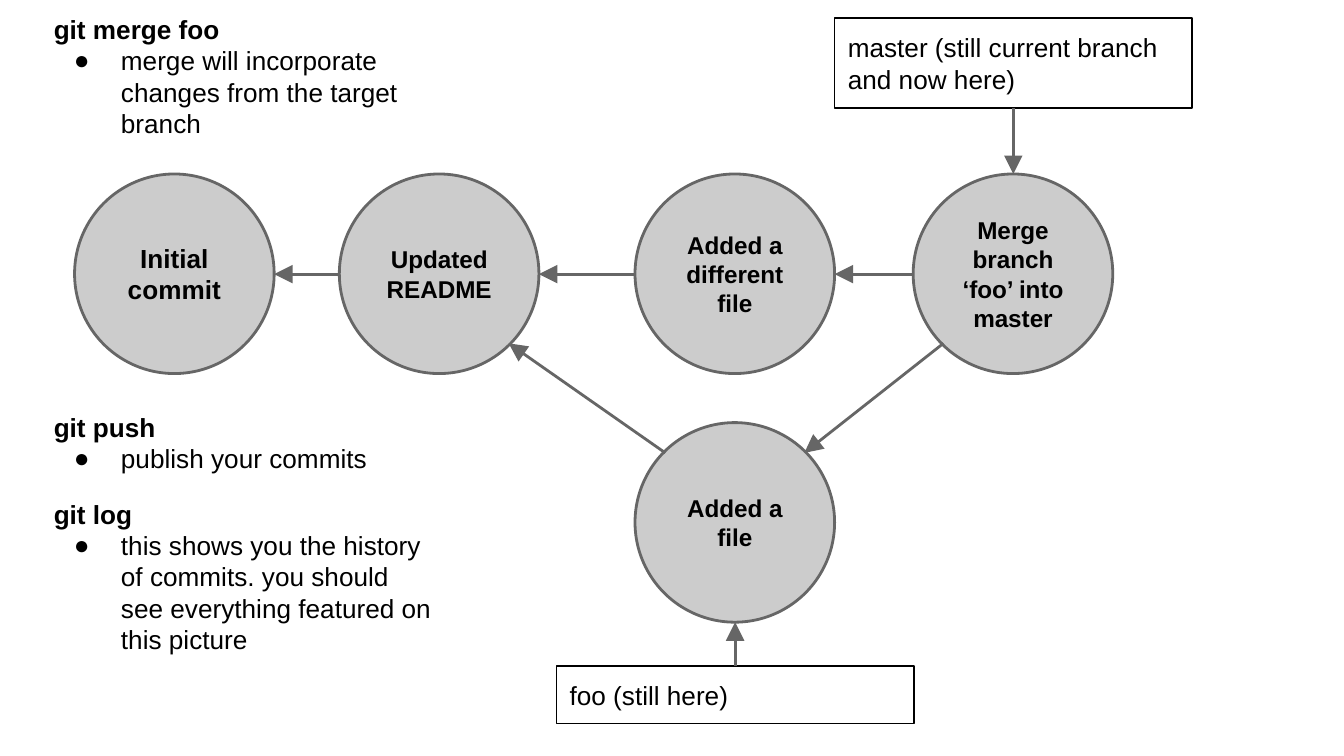
"""Build a slide that explains git merge, push and log with a commit graph."""
from dataclasses import dataclass

from lxml.etree import SubElement
from pptx import Presentation
from pptx.dml.color import RGBColor
from pptx.enum.shapes import MSO_CONNECTOR as Connector, MSO_SHAPE as Preset
from pptx.enum.text import MSO_ANCHOR as Anchor, MSO_AUTO_SIZE as AutoSize, PP_ALIGN as Align
from pptx.oxml.ns import qn
from pptx.util import Emu, Pt

PX = 4572
PAGE_WIDTH, PAGE_HEIGHT = 2000, 1125
COMPARISON_LAYOUT = 4


@dataclass(frozen=True)
class Theme:
    font: str = "Arial"
    ink: str = "000000"
    edge: str = "666666"
    commit_fill: str = "CCCCCC"
    text_size: int = 14
    commit_size: int = 13
    thin: float = 0.75
    thick: float = 1.5
    inset: int = 20
    hanging: int = 70
    indent: int = 100


THEME = Theme()


@dataclass(frozen=True)
class Box:
    left: int
    top: int
    width: int
    height: int

    def emu(self) -> tuple:
        return tuple(px(v) for v in (self.left, self.top, self.width, self.height))

    def point(self, across: float, down: float) -> tuple:
        return round(self.left + across * self.width), round(self.top + down * self.height)


@dataclass(frozen=True)
class Node:
    text: str
    box: Box
    size: int = THEME.commit_size


@dataclass(frozen=True)
class Note:
    heading: str
    detail: str
    box: Box


DIAMETER = 297
LABEL_WIDTH = 532
MAIN_ROW, FOO_ROW = 259, 629
LEFT, RIGHT = (0, 0.5), (1, 0.5)
TOP, BOTTOM = (0.5, 0), (0.5, 1)
NEAR, FAR = 0.15, 0.85


def commit(text: str, left: int, top: int = MAIN_ROW, **options) -> Node:
    return Node(text, Box(left, top, DIAMETER, DIAMETER), **options)


def branch(text: str, left: int, top: int, height: int) -> Node:
    return Node(text, Box(left, top, LABEL_WIDTH, height), THEME.text_size)


def note(heading: str, detail: str, top: int, height: int = 326) -> Note:
    return Note(heading, detail, Box(60, top, 610, height))


INITIAL = commit("Initial commit", 111, size=THEME.text_size)
README = commit("Updated README", 505)
DIFFERENT = commit("Added a different file", 945)
MERGE = commit("Merge branch ‘foo’ into master", 1359)
ADDED = commit("Added a file", 945, FOO_ROW)
COMMITS = (INITIAL, README, DIFFERENT, MERGE, ADDED)

MASTER = branch("master (still current branch and now here)", 1242, 27, 134)
FOO = branch("foo (still here)", 828, 991, 86)
BRANCHES = (MASTER, FOO)

ARROWS = (
    (README, LEFT, INITIAL, RIGHT),
    (DIFFERENT, LEFT, README, RIGHT),
    (MERGE, LEFT, DIFFERENT, RIGHT),
    (MERGE, (NEAR, FAR), ADDED, (FAR, NEAR)),
    (ADDED, (NEAR, NEAR), README, (FAR, FAR)),
    (MASTER, BOTTOM, MERGE, TOP),
    (FOO, TOP, ADDED, BOTTOM),
)

NOTES = (
    note("git merge foo", "merge will incorporate changes from the target branch", 0),
    note("git push", "publish your commits", 592, 146),
    note("git log",
         "this shows you the history of commits. you should see everything featured on this picture",
         721),
)


def px(value: int) -> Emu:
    return Emu(value * PX)


def colour(code: str) -> RGBColor:
    return RGBColor.from_string(code)


def set_frame(frame, anchor: Anchor) -> None:
    frame.word_wrap = True
    frame.auto_size = AutoSize.NONE
    frame.vertical_anchor = anchor
    frame.margin_left = frame.margin_right = px(THEME.inset)
    frame.margin_top = frame.margin_bottom = px(THEME.inset)


def write(para, text: str, *, size: int = THEME.text_size, bold: bool = False,
          align: Align = Align.LEFT) -> None:
    para.alignment = align
    para.line_spacing = 1.0
    para.space_before = para.space_after = Pt(0)
    span = para.add_run()
    span.text = text
    span.font.name = THEME.font
    span.font.size = Pt(size)
    span.font.bold = bold
    span.font.color.rgb = colour(THEME.ink)


def set_bullet(para, shown: bool) -> None:
    properties = para._p.get_or_add_pPr()
    properties.set("marL", str(px(THEME.indent if shown else 0)))
    properties.set("indent", str(px(-THEME.hanging if shown else 0)))
    if shown:
        tint = SubElement(properties, qn("a:buClr"))
        SubElement(tint, qn("a:srgbClr"), val=THEME.ink)
        SubElement(properties, qn("a:buChar"), char="●")
    else:
        SubElement(properties, qn("a:buNone"))


def draw_node(page, node: Node, preset: Preset, *, fill: str | None, edge: str,
              weight: float, anchor: Anchor, bold: bool, align: Align) -> None:
    shape = page.shapes.add_shape(preset, *node.box.emu())
    shape.shadow.inherit = False
    if fill:
        shape.fill.solid()
        shape.fill.fore_color.rgb = colour(fill)
    else:
        shape.fill.background()
    shape.line.color.rgb = colour(edge)
    shape.line.width = Pt(weight)
    set_frame(shape.text_frame, anchor)
    write(shape.text_frame.paragraphs[0], node.text, size=node.size, bold=bold, align=align)


def draw_arrow(page, start: Node, leaving: tuple, end: Node, entering: tuple) -> None:
    points = start.box.point(*leaving) + end.box.point(*entering)
    arrow = page.shapes.add_connector(Connector.STRAIGHT, *(px(v) for v in points))
    arrow.line.color.rgb = colour(THEME.edge)
    arrow.line.width = Pt(THEME.thick)
    SubElement(arrow.line._get_or_add_ln(), qn("a:tailEnd"), type="triangle", w="lg", len="lg")
    SubElement(arrow._element.spPr, qn("a:effectLst"))


def fill_note(holder, content: Note) -> None:
    holder.left, holder.top, holder.width, holder.height = content.box.emu()
    frame = holder.text_frame
    set_frame(frame, Anchor.TOP)
    heading, detail = frame.paragraphs[0], frame.add_paragraph()
    write(heading, content.heading, bold=True)
    set_bullet(heading, False)
    write(detail, content.detail)
    set_bullet(detail, True)


def main() -> None:
    deck = Presentation()
    deck.slide_width, deck.slide_height = px(PAGE_WIDTH), px(PAGE_HEIGHT)
    page = deck.slides.add_slide(deck.slide_layouts[COMPARISON_LAYOUT])
    title, *bodies = page.placeholders
    for holder, content in zip(bodies, NOTES):
        fill_note(holder, content)
    for unused in (title, *bodies[len(NOTES):]):
        unused._element.getparent().remove(unused._element)
    for node in COMMITS:
        draw_node(page, node, Preset.OVAL, fill=THEME.commit_fill, edge=THEME.edge,
                  weight=THEME.thick, anchor=Anchor.MIDDLE, bold=True, align=Align.CENTER)
    for node in BRANCHES:
        draw_node(page, node, Preset.RECTANGLE, fill=None, edge=THEME.ink,
                  weight=THEME.thin, anchor=Anchor.TOP, bold=False, align=Align.LEFT)
    for arrow in ARROWS:
        draw_arrow(page, *arrow)
    deck.save("out.pptx")


if __name__ == "__main__":
    main()
